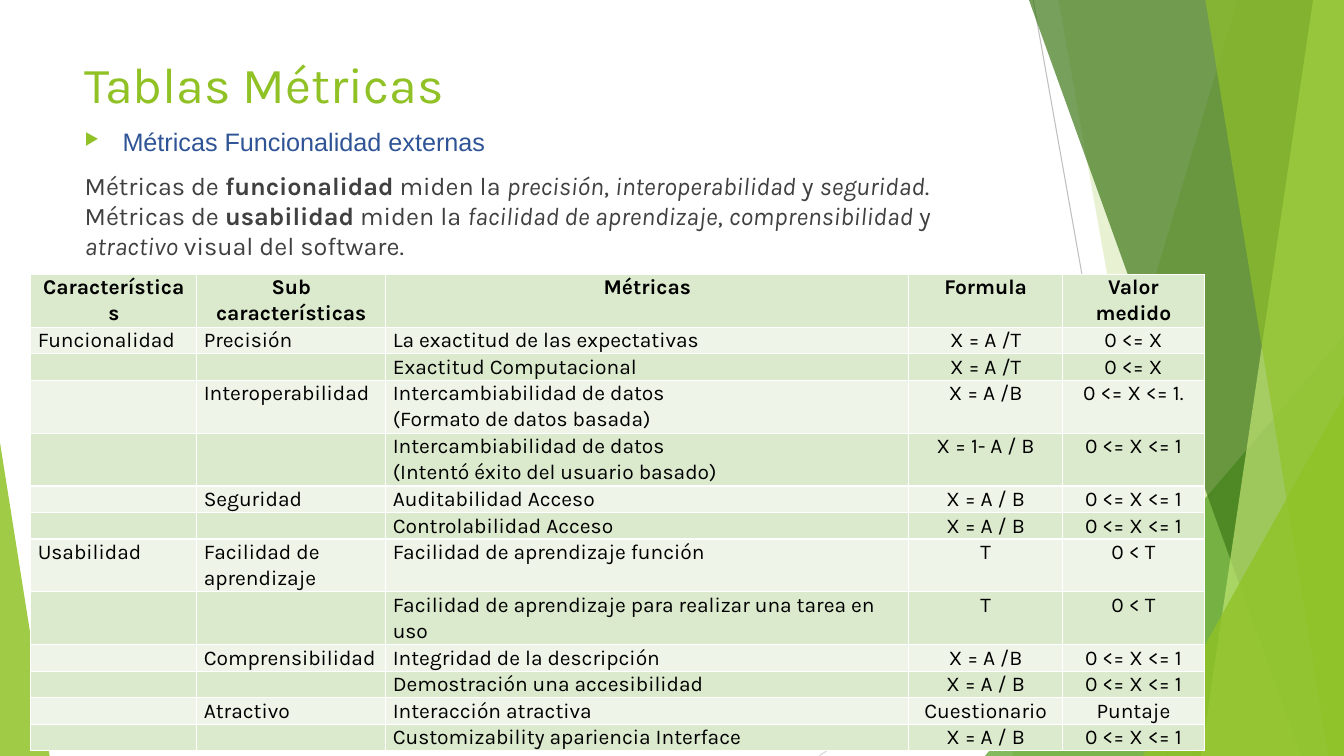
from dataclasses import dataclass

import lxml.etree
import pptx
import pptx.dml.color
import pptx.enum.shapes
import pptx.enum.text
import pptx.oxml.ns
import pptx.util

Pt = pptx.util.Pt
qn = pptx.oxml.ns.qn
ALIGN = pptx.enum.text.PP_ALIGN

COLORS = {
    "lime": "90C226", "green": "54A021", "forest": "3F7819", "pale": "C0E474",
    "line": "BFBFBF", "light_line": "D9D9D9", "blue": "2F5496", "gray": "404040",
    "black": "000000", "white": "FFFFFF", "row_dark": "DBE9CD", "row_light": "EEF4E8",
}
WIDTH, HEIGHT = 960, 540


@dataclass(frozen=True)
class Line:
    start: tuple[float, float]
    end: tuple[float, float]
    color: str


@dataclass(frozen=True)
class Band:
    top_x: float
    bottom_x: float
    color: str
    opacity: int


@dataclass(frozen=True)
class Triangle:
    left: float
    top: float
    width: float
    apex: float
    color: str
    opacity: int


DECOR = [
    Line((738, 0), (834, 540), "line"),
    Line((960, 290), (585, 540), "light_line"),
    Band(884, 723, "lime", 30),
    Band(756, 852, "lime", 20),
    Triangle(703.5, 240, 256.5, 1, "green", 72),
    Band(735, 929.5, "forest", 70),
    Band(938, 858, "pale", 70),
    Band(861, 949, "lime", 65),
    Triangle(816.5, 283, 143.5, 1, "lime", 80),
    Triangle(0, 316, 35.5, 0, "lime", 85),
]

INTRO = [
    ("Métricas de ", ""), ("funcionalidad", "b"), (" miden la ", ""),
    ("precisión", "i"), (", ", ""), ("interoperabilidad", "i"), (" y ", ""),
    ("seguridad", "i"), (". Métricas de ", ""), ("usabilidad", "b"),
    (" miden la ", ""), ("facilidad de aprendizaje", "i"), (", ", ""),
    ("comprensibilidad", "i"), (" y ", ""), ("atractivo", "i"),
    (" visual del software.", ""),
]

COLUMNS = [118.6, 135, 373.6, 109.8, 101.4]
ROW_HEIGHTS = [37, 18, 18, 37, 37, 18, 18, 37, 37, 18, 18, 18, 18]
ROWS = [
    ("Características", "Sub características", "Métricas", "Formula", "Valor medido"),
    ("Funcionalidad", "Precisión", "La exactitud de las expectativas", "X = A /T", "0 <= X"),
    ("", "", "Exactitud Computacional", "X = A /T", "0 <= X"),
    ("", "Interoperabilidad", "Intercambiabilidad de datos\n(Formato de datos basada)",
     "X = A /B", "0 <= X <= 1."),
    ("", "", "Intercambiabilidad de datos\n(Intentó éxito del usuario basado)",
     "X = 1- A / B", "0 <= X <= 1"),
    ("", "Seguridad", "Auditabilidad Acceso", "X = A / B", "0 <= X <= 1"),
    ("", "", "Controlabilidad Acceso", "X = A / B", "0 <= X <= 1"),
    ("Usabilidad", "Facilidad de aprendizaje", "Facilidad de aprendizaje función", "T", "0 < T"),
    ("", "", "Facilidad de aprendizaje para realizar una tarea en uso", "T", "0 < T"),
    ("", "Comprensibilidad", "Integridad de la descripción", "X = A /B", "0 <= X <= 1"),
    ("", "", "Demostración una accesibilidad", "X = A / B", "0 <= X <= 1"),
    ("", "Atractivo", "Interacción atractiva", "Cuestionario", "Puntaje"),
    ("", "", "Customizability apariencia Interface", "X = A / B", "0 <= X <= 1"),
]


def rgb(name: str) -> pptx.dml.color.RGBColor:
    return pptx.dml.color.RGBColor.from_string(COLORS[name])


def put_text(p, text: str, *, size: float = 18, color: str = "gray", font: str = "Karla",
             bold: bool = False, italic: bool = False) -> None:
    for i, part in enumerate(text.split("\n")):
        if i:
            p.add_line_break()
            br = p._p.findall(qn("a:br"))[-1]
            lxml.etree.SubElement(br, qn("a:rPr"), sz=str(int(size * 100)))
        r = p.add_run()
        r.text = part
        r.font.size = Pt(size)
        r.font.name = font
        r.font.bold = bold
        r.font.italic = italic
        r.font.color.rgb = rgb(color)


def paint(sp, color: str, opacity: int) -> None:
    sp.shadow.inherit = False
    sp.fill.solid()
    sp.fill.fore_color.rgb = rgb(color)
    sp.line.fill.background()
    srgb = sp._element.spPr.find(qn("a:solidFill"))[0]
    lxml.etree.SubElement(srgb, qn("a:alpha"), val=str(opacity * 1000))


def draw_decor(s, item: Line | Band | Triangle) -> None:
    if isinstance(item, Line):
        ends = [Pt(v) for v in (*item.start, *item.end)]
        sp = s.shapes.add_connector(pptx.enum.shapes.MSO_CONNECTOR.STRAIGHT, *ends)
        sp.line.color.rgb = rgb(item.color)
        sp.line.width = Pt(0.75)
        lxml.etree.SubElement(sp._element.spPr, qn("a:effectLst"))
    elif isinstance(item, Band):
        builder = s.shapes.build_freeform(Pt(item.top_x), 0)
        corners = [(WIDTH, 0), (WIDTH, HEIGHT), (item.bottom_x, HEIGHT)]
        builder.add_line_segments([(Pt(x), Pt(y)) for x, y in corners], close=True)
        paint(builder.convert_to_shape(), item.color, item.opacity)
    else:
        sp = s.shapes.add_shape(
            pptx.enum.shapes.MSO_SHAPE.ISOSCELES_TRIANGLE, Pt(item.left), Pt(item.top),
            Pt(item.width), Pt(HEIGHT - item.top))
        sp.adjustments[0] = item.apex
        paint(sp, item.color, item.opacity)


def add_bullet(p, char: str) -> None:
    pPr = p._p.get_or_add_pPr()
    pPr.set("marL", str(Pt(27)))
    pPr.set("indent", str(Pt(-27)))
    clr = lxml.etree.SubElement(pPr, qn("a:buClr"))
    lxml.etree.SubElement(clr, qn("a:srgbClr"), val=COLORS["lime"])
    lxml.etree.SubElement(pPr, qn("a:buSzPct"), val="65000")
    lxml.etree.SubElement(pPr, qn("a:buChar"), char=char)


def draw_title(s) -> None:
    sp = s.shapes.title
    s.shapes._spTree.append(sp._element)
    sp.left, sp.top, sp.width, sp.height = Pt(53), Pt(34.5), Pt(677), Pt(104)
    tf = sp.text_frame
    tf.auto_size = pptx.enum.text.MSO_AUTO_SIZE.NONE
    tf.vertical_anchor = pptx.enum.text.MSO_ANCHOR.TOP
    tf.paragraphs[0].alignment = ALIGN.LEFT
    put_text(tf.paragraphs[0], "Tablas Métricas", size=36, color="lime")


def draw_body(s) -> None:
    tf = s.shapes.add_textbox(Pt(53.4), Pt(86.5), Pt(677), Pt(365)).text_frame
    tf.word_wrap = True
    heading, intro = tf.paragraphs[0], tf.add_paragraph()
    heading.space_before = intro.space_before = Pt(10)
    add_bullet(heading, "▶")
    put_text(heading, "Métricas Funcionalidad externas", color="blue", font="Arial")
    for text, style in INTRO:
        put_text(intro, text, bold=style == "b", italic=style == "i")


def format_cell(cell, text: str, row: int, col: int) -> None:
    tcPr = cell._tc.get_or_add_tcPr()
    for side in ("lnL", "lnR", "lnT", "lnB"):
        ln = lxml.etree.SubElement(tcPr, qn(f"a:{side}"), w=str(Pt(1)))
        fill = lxml.etree.SubElement(ln, qn("a:solidFill"))
        lxml.etree.SubElement(fill, qn("a:srgbClr"), val=COLORS["white"])
    cell.fill.solid()
    cell.fill.fore_color.rgb = rgb("row_light" if row % 2 else "row_dark")
    cell.margin_left = cell.margin_right = Pt(5)
    cell.margin_top = cell.margin_bottom = 0
    p = cell.text_frame.paragraphs[0]
    if not text:
        lxml.etree.SubElement(p._p, qn("a:endParaRPr"), sz="1200")
        return
    p.alignment = ALIGN.CENTER if row == 0 or col > 2 else ALIGN.LEFT
    p.line_spacing = 1.05
    p.space_after = Pt(8)
    put_text(p, text, size=15, color="black", bold=row == 0)


def draw_table(s) -> None:
    table = s.shapes.add_table(len(ROWS), len(COLUMNS), Pt(22), Pt(196),
                               Pt(sum(COLUMNS)), Pt(sum(ROW_HEIGHTS))).table
    for column, width in zip(table.columns, COLUMNS):
        column.width = Pt(width)
    for i, (height, texts) in enumerate(zip(ROW_HEIGHTS, ROWS)):
        table.rows[i].height = Pt(height)
        for j, text in enumerate(texts):
            format_cell(table.cell(i, j), text, i, j)


def main() -> None:
    prs = pptx.Presentation()
    prs.slide_width, prs.slide_height = Pt(WIDTH), Pt(HEIGHT)
    s = prs.slides.add_slide(prs.slide_layouts[5])
    for item in DECOR:
        draw_decor(s, item)
    draw_title(s)
    draw_body(s)
    draw_table(s)
    prs.save("out.pptx")


if __name__ == "__main__":
    main()
